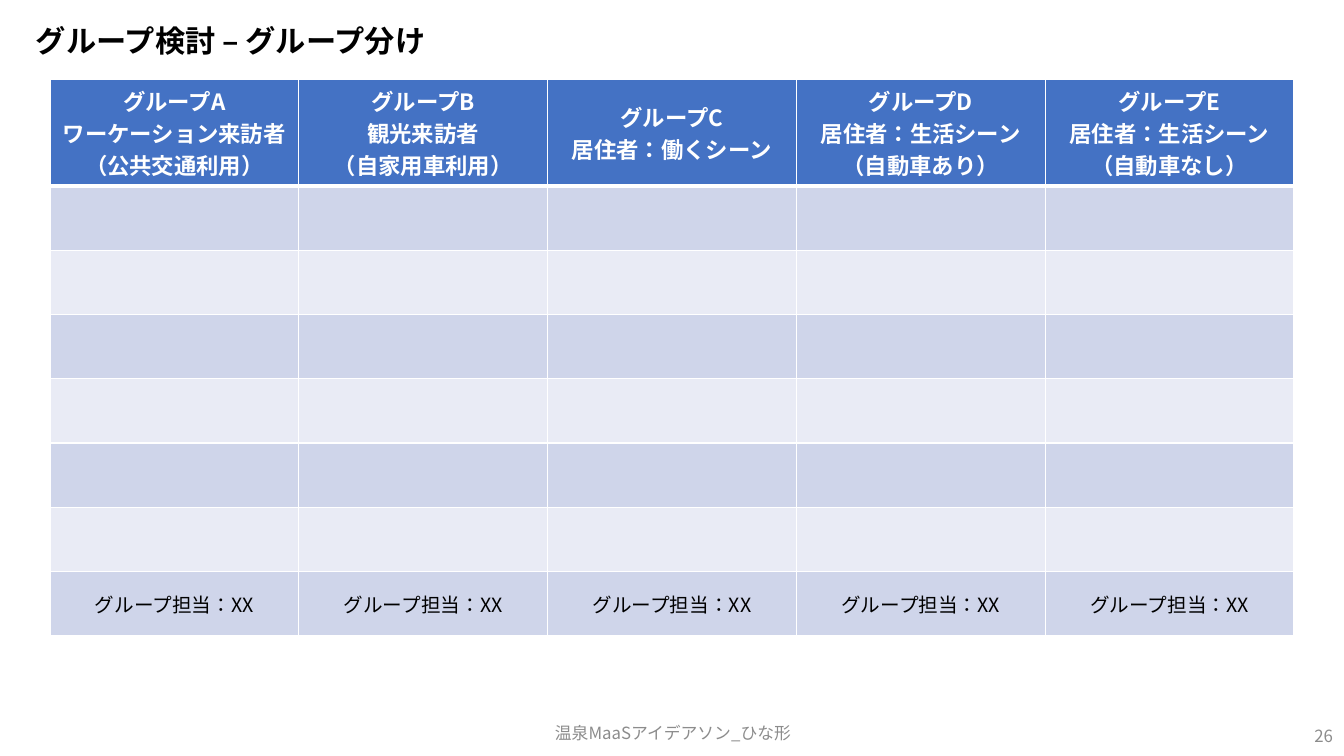
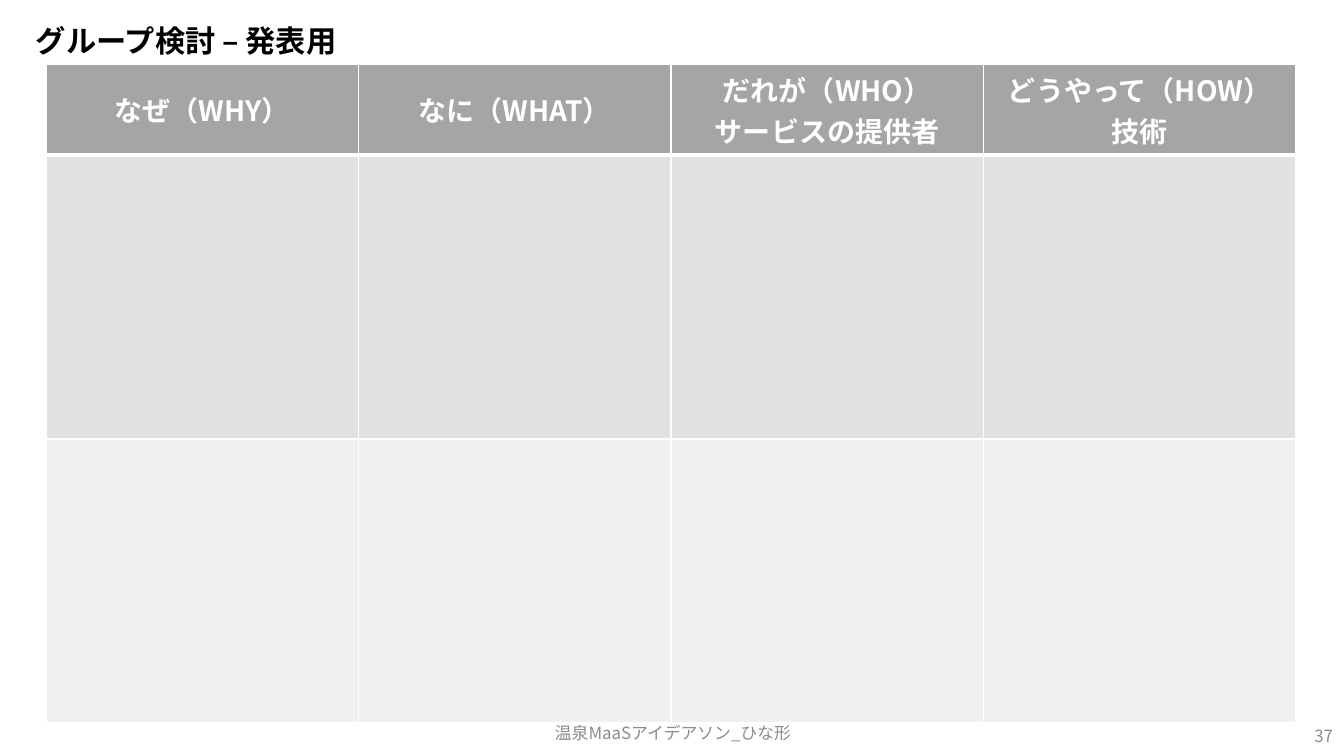
import pptx
import pptx.util
import pptx.oxml
import pptx.oxml.ns
from pptx.dml.color import RGBColor
from pptx.enum.lang import MSO_LANGUAGE_ID
from pptx.enum.text import MSO_ANCHOR, PP_ALIGN

PX = 914400 / 100.8
FONT = "Noto Sans CJK JP"
BLACK = RGBColor(0x00, 0x00, 0x00)
WHITE = RGBColor(0xFF, 0xFF, 0xFF)
FOOTER_GRAY = RGBColor(0x8C, 0x8C, 0x8C)
BLUES = (RGBColor(0x44, 0x72, 0xC4), RGBColor(0xCF, 0xD5, 0xEA), RGBColor(0xE9, 0xEB, 0xF5))
GRAYS = (RGBColor(0xA5, 0xA5, 0xA5), RGBColor(0xE1, 0xE1, 0xE1), RGBColor(0xF0, 0xF0, 0xF0))

SLIDE_SIZE = (1344, 756)
TITLE_AREA = (26, 23, 1292, 40)
FOOTER_AREA = (446, 713, 454, 40)
NUMBER_AREA = (1041, 716, 302, 40)
FOOTER = "温泉MaaSアイデアソン_ひな形"

TITLE_STYLE = {"size": 21.6, "bold": True, "color": BLACK, "align": PP_ALIGN.LEFT, "spacing": 0.9}
FOOTER_STYLE = {"size": 12, "bold": False, "color": FOOTER_GRAY, "align": PP_ALIGN.CENTER}
NUMBER_STYLE = {**FOOTER_STYLE, "align": PP_ALIGN.RIGHT}
GROUP_STYLE = {"size": 16, "bold": True, "color": WHITE, "align": PP_ALIGN.CENTER}
QUESTION_STYLE = {**GROUP_STYLE, "size": 20}
BODY_STYLE = {"size": 14, "bold": False, "color": BLACK, "align": PP_ALIGN.CENTER}

SLIDES = [
    {
        "title": "グループ検討 – グループ分け",
        "number": "26",
        "area": (50, 79, 1244, 557),
        "header_height": 107,
        "header_style": GROUP_STYLE,
        "fills": BLUES,
        "headers": [
            ["グループA", "ワーケーション来訪者", "（公共交通利用）"],
            ["グループB", "観光来訪者", "（自家用車利用）"],
            ["グループC", "居住者：働くシーン"],
            ["グループD", "居住者：生活シーン", "（自動車あり）"],
            ["グループE", "居住者：生活シーン", "（自動車なし）"],
        ],
        "body": [""] * 6 + ["グループ担当：XX"],
    },
    {
        "title": "グループ検討 – 発表用",
        "number": "37",
        "area": (46, 64, 1250, 659),
        "header_height": 91,
        "header_style": QUESTION_STYLE,
        "fills": GRAYS,
        "headers": [
            ["なぜ（WHY）"],
            ["なに（WHAT）"],
            ["だれが（WHO）", "サービスの提供者"],
            ["どうやって（HOW）", "技術"],
        ],
        "body": [""] * 2,
    },
]


def emu(pixels):
    return pptx.util.Emu(round(pixels * PX))


def write(frame, lines, style):
    font_format = {
        "name": FONT,
        "size": pptx.util.Pt(style["size"]),
        "bold": style["bold"],
        "language_id": MSO_LANGUAGE_ID.JAPANESE,
    }
    for index, line in enumerate(lines):
        para = frame.add_paragraph() if index else frame.paragraphs[0]
        para.alignment = style["align"]
        para.line_spacing = style.get("spacing")
        span = para.add_run()
        span.text = line
        for name, value in font_format.items():
            setattr(span.font, name, value)
        span.font.color.rgb = style["color"]
        east_asian = pptx.oxml.parse_xml(
            f'<a:ea {pptx.oxml.ns.nsdecls("a")} typeface="{FONT}"/>')
        span.font._element.find(pptx.oxml.ns.qn("a:latin")).addnext(east_asian)


def add_text(page, area, text, style):
    box = page.shapes.add_textbox(*map(emu, area))
    frame = box.text_frame
    frame.word_wrap = True
    frame.vertical_anchor = MSO_ANCHOR.MIDDLE
    write(frame, [text], style)


def set_borders(cell, widths):
    """Draw white cell borders; widths maps each side (L, R, T, B) to points."""
    properties = cell._tc.get_or_add_tcPr()
    for index, (side, points) in enumerate(widths.items()):
        border = pptx.oxml.parse_xml(
            f'<a:ln{side} {pptx.oxml.ns.nsdecls("a")} w="{pptx.util.Pt(points)}">'
            f'<a:solidFill><a:srgbClr val="{WHITE}"/></a:solidFill></a:ln{side}>')
        properties.insert(index, border)


def add_grid(page, content):
    headers, body = content["headers"], content["body"]
    head_fill, *band_fills = content["fills"]
    width, height = content["area"][2:]
    head_height = content["header_height"]
    body_height = (height - head_height) / len(body)

    shape = page.shapes.add_table(len(body) + 1, len(headers), *map(emu, content["area"]))
    table = shape.table
    table.horz_banding = False
    for column in table.columns:
        column.width = emu(width / len(headers))
    for index, row in enumerate(table.rows):
        row.height = emu(body_height if index else head_height)

    rows = [headers] + [[[text] if text else []] * len(headers) for text in body]
    for row_index, row in enumerate(rows):
        is_header = row_index == 0
        fill = head_fill if is_header else band_fills[(row_index - 1) % 2]
        style = content["header_style"] if is_header else BODY_STYLE
        top = 3 if row_index == 1 else 1
        bottom = 3 if is_header else 1
        for column_index, lines in enumerate(row):
            cell = table.cell(row_index, column_index)
            cell.fill.solid()
            cell.fill.fore_color.rgb = fill
            cell.vertical_anchor = MSO_ANCHOR.MIDDLE
            set_borders(cell, {"L": 1, "R": 1, "T": top, "B": bottom})
            write(cell.text_frame, lines, style)


def main():
    deck = pptx.Presentation()
    deck.slide_width, deck.slide_height = map(emu, SLIDE_SIZE)
    for content in SLIDES:
        page = deck.slides.add_slide(deck.slide_layouts[6])
        add_text(page, TITLE_AREA, content["title"], TITLE_STYLE)
        add_text(page, FOOTER_AREA, FOOTER, FOOTER_STYLE)
        add_text(page, NUMBER_AREA, content["number"], NUMBER_STYLE)
        add_grid(page, content)
    deck.save("out.pptx")


if __name__ == "__main__":
    main()
